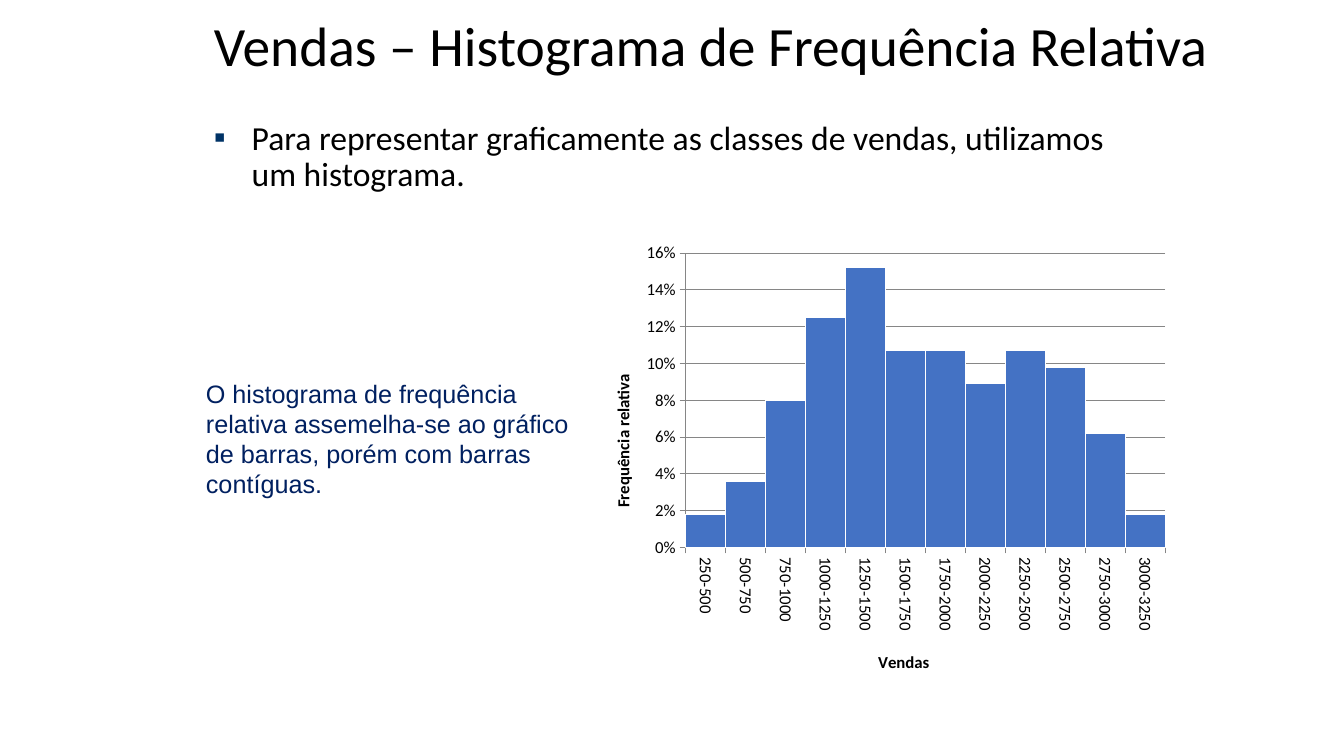
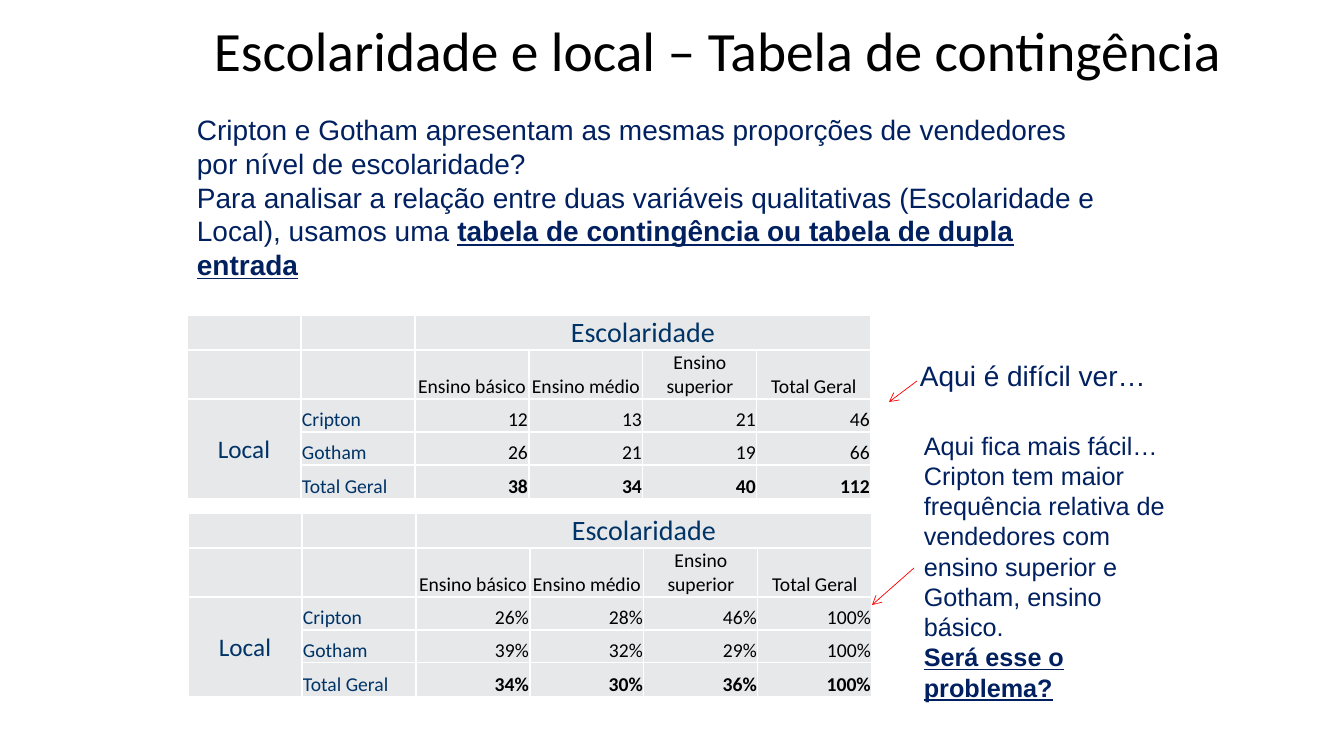
from lxml import etree
from pptx import Presentation
from pptx.chart.data import CategoryChartData
from pptx.dml.color import RGBColor
from pptx.enum.chart import XL_CHART_TYPE as ChartType, XL_TICK_MARK as TickMark
from pptx.enum.shapes import MSO_CONNECTOR as Connector
from pptx.enum.text import MSO_ANCHOR as Anchor, PP_ALIGN as Align
from pptx.oxml.ns import qn
from pptx.util import Pt

PX = 12192000 / 1344
COLORS = {name: RGBColor.from_string(code) for name, code in {
    "black": "000000", "navy": "002060", "blue": "003366", "bar": "4472C4",
    "grid": "868686", "cell": "E7E8EA", "white": "FFFFFF", "red": "FF0000",
}.items()}


def add_text(page, frame, paragraphs, size, font="Arial", color="navy"):
    """Add a text box; each paragraph is a list of (words, emphasised) pairs."""
    box = page.shapes.add_textbox(*[round(v * PX) for v in frame])
    text = box.text_frame
    text.word_wrap = True
    for index, spans in enumerate(paragraphs):
        para = text.paragraphs[0] if index == 0 else text.add_paragraph()
        for words, strong in spans:
            span = para.add_run()
            span.text = words
            span.font.size = Pt(size)
            span.font.name = font
            span.font.color.rgb = COLORS[color]
            if strong:
                span.font.bold = span.font.underline = True
    return text


def set_layout(parent, **values):
    """Place a chart part by fractions of the chart area."""
    layout = parent.find(qn("c:layout"))
    if layout is None:
        layout = etree.Element(qn("c:layout"))
        parent.insert(0, layout)
    manual = etree.SubElement(layout, qn("c:manualLayout"))
    for tag, value in values.items():
        etree.SubElement(manual, qn("c:" + tag)).set("val", str(value))


deck = Presentation()
deck.slide_width, deck.slide_height = round(1344 * PX), round(756 * PX)

# Pages and titles
pages = []
for title, width, height in [
    ("Vendas – Histograma de Frequência Relativa", 1047, 71),
    ("Escolaridade e local – Tabela de contingência", 1060, 81),
]:
    page = deck.slides.add_slide(deck.slide_layouts[6])
    text = add_text(page, (204, 13, width, height), [[(title, False)]],
                    39.6, "Calibri", "black")
    text.vertical_anchor = Anchor.MIDDLE
    text.paragraphs[0].line_spacing = 0.9
    pages.append(page)
histogram_page, contingency_page = pages

# Histogram page: bullet and remark
text = add_text(histogram_page, (204, 116, 936, 580), [[(
    "Para representar graficamente as classes de vendas, utilizamos um histograma.", False)]],
    24, "Calibri", "black")
para = text.paragraphs[0]
para.line_spacing = 0.9
para.space_before = Pt(10)
properties = para._p.get_or_add_pPr()
properties.set("marL", "342900")
properties.set("indent", "-342900")
bullet_color = etree.SubElement(properties, qn("a:buClr"))
etree.SubElement(bullet_color, qn("a:srgbClr")).set("val", str(COLORS["blue"]))
etree.SubElement(properties, qn("a:buFont")).set("typeface", "Arial")
etree.SubElement(properties, qn("a:buChar")).set("char", "▪")

add_text(histogram_page, (196, 373, 405, 163), [[(
    "O histograma de frequência relativa assemelha-se ao gráfico de barras, "
    "porém com barras contíguas.", False)]], 18)

# Histogram page: chart
data = CategoryChartData(number_format="0%")
data.categories = [f"{low}-{low + 250}" for low in range(250, 3250, 250)]
data.add_series("Series 1", [0.018, 0.036, 0.08, 0.125, 0.152, 0.107,
                             0.107, 0.089, 0.107, 0.098, 0.062, 0.018])
chart = histogram_page.shapes.add_chart(
    ChartType.COLUMN_CLUSTERED, *[round(v * PX) for v in (585, 235, 592, 453)], data).chart
chart.has_legend = chart.has_title = False
chart.font.size = Pt(12)
chart.font.name = "Calibri"
chart.font.color.rgb = COLORS["black"]
set_layout(chart.element.find(".//" + qn("c:plotArea")), layoutTarget="inner",
           xMode="edge", yMode="edge", x=0.17, y=0.04, w=0.81, h=0.65)

plot = chart.plots[0]
plot.vary_by_categories = False
plot.gap_width = 0
bars = plot.series[0].format
bars.fill.solid()
bars.fill.fore_color.rgb = COLORS["bar"]
bars.line.color.rgb = COLORS["white"]
bars.line.width = Pt(0.75)

for axis, title, left, top, title_turn, label_turn in [
    (chart.category_axis, "Vendas", 0.49, 0.91, 0, 5400000),
    (chart.value_axis, "Frequência relativa", 0.04, 0.3, -5400000, 0),
]:
    axis.major_tick_mark = TickMark.OUTSIDE
    axis.minor_tick_mark = TickMark.NONE
    axis.format.line.color.rgb = COLORS["grid"]
    axis.tick_labels.font.size = Pt(12)
    label_body = axis.tick_labels._element.find(qn("c:txPr")).find(qn("a:bodyPr"))
    label_body.set("rot", str(label_turn))
    label_body.set("vert", "horz")
    text = axis.axis_title.text_frame
    text.text = title
    font = text.paragraphs[0].runs[0].font
    font.size = Pt(12)
    font.name = "Calibri"
    font.bold = True
    font.color.rgb = COLORS["black"]
    title_body = text._txBody.find(qn("a:bodyPr"))
    title_body.set("rot", str(title_turn))
    title_body.set("vert", "horz")
    set_layout(axis.axis_title._element, xMode="edge", yMode="edge", x=left, y=top)

axis = chart.value_axis
axis.minimum_scale, axis.maximum_scale, axis.major_unit = 0, 0.16, 0.02
axis.has_major_gridlines = True
axis.major_gridlines.format.line.color.rgb = COLORS["grid"]
axis.tick_labels.number_format = "0%"
axis.tick_labels.number_format_is_linked = False

# Contingency page: question
add_text(contingency_page, (187, 108, 921, 179), [
    [("Cripton e Gotham apresentam as mesmas proporções de vendedores "
      "por nível de escolaridade?", False)],
    [("Para analisar a relação entre duas variáveis qualitativas "
      "(Escolaridade e Local), usamos uma ", False),
     ("tabela de contingência ou tabela de dupla entrada", True)],
], 20)

# Contingency page: counts above, row percentages below
HEADINGS = ["Ensino básico", "Ensino médio", "Ensino superior", "Total Geral"]
PLACES = ["Cripton", "Gotham", "Total Geral"]
ROW_HEIGHTS = [35, 49, 33, 33, 34]
for left, top, values in [
    (187, 315, [["12", "13", "21", "46"], ["26", "21", "19", "66"],
                ["38", "34", "40", "112"]]),
    (188, 513, [["26%", "28%", "46%", "100%"], ["39%", "32%", "29%", "100%"],
                ["34%", "30%", "36%", "100%"]]),
]:
    rows = [["", "", "Escolaridade", "", "", ""], ["", ""] + HEADINGS]
    for index, (place, numbers) in enumerate(zip(PLACES, values)):
        rows.append(["Local" if index == 0 else "", place] + numbers)
    table = contingency_page.shapes.add_table(
        5, 6, *[round(v * PX) for v in (left, top, 684, sum(ROW_HEIGHTS))]).table
    table.first_row = table.horz_banding = False
    for row, height in zip(table.rows, ROW_HEIGHTS):
        row.height = round(height * PX)
    table.cell(0, 2).merge(table.cell(0, 5))
    table.cell(2, 0).merge(table.cell(4, 0))

    for r, words in enumerate(rows):
        for c, word in enumerate(words):
            cell = table.cell(r, c)
            cell.margin_left = cell.margin_right = cell.margin_top = round(PX)
            cell.margin_bottom = 0
            cell.vertical_anchor = Anchor.MIDDLE if c == 0 else Anchor.BOTTOM
            for side in ("a:lnL", "a:lnR", "a:lnT", "a:lnB"):
                border = etree.SubElement(cell._tc.get_or_add_tcPr(), qn(side), w="12700")
                paint = etree.SubElement(border, qn("a:solidFill"))
                etree.SubElement(paint, qn("a:srgbClr")).set("val", str(COLORS["white"]))
            cell.fill.solid()
            cell.fill.fore_color.rgb = COLORS["cell"]
            if not word:
                continue
            para = cell.text_frame.paragraphs[0]
            para.text = word
            if r < 2 or c == 0:
                para.alignment = Align.CENTER
            else:
                para.alignment = Align.LEFT if c == 1 else Align.RIGHT
            font = para.runs[0].font
            font.name = "Calibri"
            font.size = Pt(20 if r == 0 else 18 if c == 0 else 14)
            font.bold = r == 4 and c > 1
            font.color.rgb = COLORS["blue" if r == 0 or c < 2 else "black"]

# Contingency page: remarks and arrows
add_text(contingency_page, (910, 354, 278, 44), [[("Aqui é difícil ver…", False)]], 20)
add_text(contingency_page, (914, 425, 262, 285), [
    [("Aqui fica mais fácil…", False)],
    [("Cripton tem maior frequência relativa de vendedores com ensino superior "
      "e Gotham, ensino básico.", False)],
    [("Será esse o problema?", True)],
], 18)
for ends in [(914, 568, 872, 605), (917, 381, 889, 402)]:
    arrow = contingency_page.shapes.add_connector(
        Connector.STRAIGHT, *[round(v * PX) for v in ends])
    arrow.line.color.rgb = COLORS["red"]
    arrow.line.width = Pt(0.5)
    outline = arrow.element.spPr
    etree.SubElement(outline.find(qn("a:ln")), qn("a:tailEnd")).set("type", "arrow")
    etree.SubElement(outline, qn("a:effectLst"))

deck.save("out.pptx")
